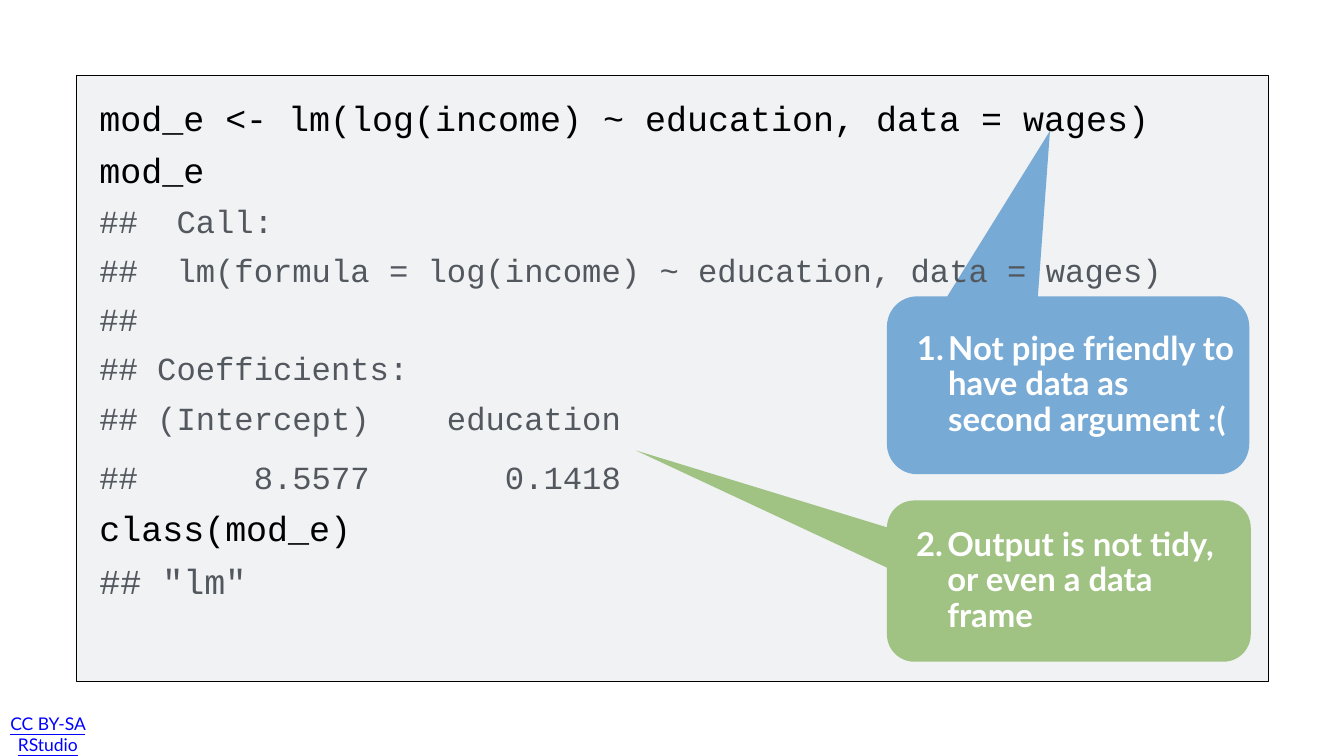
import pptx
import pptx.dml.color
import pptx.enum.shapes
import pptx.enum.text
import pptx.oxml
import pptx.oxml.ns
import pptx.util

Inches = pptx.util.Inches
Pt = pptx.util.Pt
MIDDLE = pptx.enum.text.MSO_ANCHOR.MIDDLE
SHAPES = pptx.enum.shapes.MSO_SHAPE

INPUT = {"size": Pt(50), "name": "Courier New", "color": "000000"}
OUTPUT = {"size": Pt(46), "name": "Courier New", "color": "53585F"}
RESULT = {**OUTPUT, "size": Pt(50)}
CALLOUT = {"size": Pt(47), "name": "Lato", "bold": True, "color": "FFFFFF"}
LICENSE = {"size": Pt(25), "name": "Lato", "underline": True, "color": "0000FF"}

# Text, format, space before in points
CODE = [
    ("mod_e <- lm(log(income) ~ education, data = wages)", INPUT, 0),
    ("mod_e", INPUT, 15),
    ("##  Call:", OUTPUT, 15),
    ("##  lm(formula = log(income) ~ education, data = wages)", OUTPUT, 15),
    ("##", OUTPUT, 15),
    ("## Coefficients:", OUTPUT, 15),
    ("## (Intercept)    education", OUTPUT, 15),
    ("##      8.5577       0.1418", OUTPUT, 30),
    ("class(mod_e)", INPUT, 15),
    ('## "lm"', RESULT, 15),
]


def rgb(color):
    return pptx.dml.color.RGBColor.from_string(color)


def add_run(p, text, style):
    r = p.add_run()
    r.text = text
    for key, value in style.items():
        if key == "color":
            r.font.color.rgb = rgb(value)
        else:
            setattr(r.font, key, value)


def set_frame(tf, inset, **settings):
    tf.word_wrap = True
    for side in ("left", "top", "right", "bottom"):
        setattr(tf, f"margin_{side}", Inches(inset))
    for key, value in settings.items():
        setattr(tf, key, value)


def add_filled(s, kind, box, fill):
    sp = s.shapes.add_shape(kind, *map(Inches, box))
    sp.shadow.inherit = False
    sp.fill.solid()
    sp.fill.fore_color.rgb = rgb(fill)
    sp.line.fill.background()
    return sp


def add_panel(s, box):
    sp = add_filled(s, SHAPES.RECTANGLE, box, "F0F2F4")
    sp.line.color.rgb = rgb("000000")
    sp.line.width = Pt(1)


def add_code(s, box):
    tf = s.shapes.add_textbox(*map(Inches, box)).text_frame
    set_frame(tf, 0.06)
    for i, (text, style, space) in enumerate(CODE):
        p = tf.add_paragraph() if i else tf.paragraphs[0]
        p.space_before = Pt(space)
        add_run(p, text, style)


def add_callout(s, box, fill, pointer, number, text):
    """Add a numbered note; pointer is the tip's offset from the centre."""
    sp = add_filled(s, SHAPES.ROUNDED_RECTANGULAR_CALLOUT, box, fill)
    for i, value in enumerate((*pointer, 0.17)):
        sp.adjustments[i] = value
    set_frame(sp.text_frame, 0.08, vertical_anchor=MIDDLE)
    p = sp.text_frame.paragraphs[0]
    p.alignment = pptx.enum.text.PP_ALIGN.LEFT
    p.line_spacing = 0.9
    pPr = p._p.get_or_add_pPr()
    pPr.set("marL", str(Inches(0.96)))
    pPr.set("indent", str(Inches(-0.62)))
    pPr.append(pptx.oxml.parse_xml(
        f'<a:buAutoNum {pptx.oxml.ns.nsdecls("a")} '
        f'type="arabicPeriod" startAt="{number}"/>'))
    add_run(p, text, CALLOUT)


def add_license(s, box):
    tf = s.shapes.add_textbox(*map(Inches, box)).text_frame
    # The wide right margin wraps the line after the licence name
    set_frame(tf, 0.08, vertical_anchor=MIDDLE, margin_right=Inches(1.08))
    p = tf.paragraphs[0]
    p.alignment = pptx.enum.text.PP_ALIGN.CENTER
    add_run(p, "CC BY-SA RStudio", LICENSE)


def main():
    prs = pptx.Presentation()
    prs.slide_width, prs.slide_height = Inches(26.67), Inches(15)
    s = prs.slides.add_slide(prs.slide_layouts.get_by_name("Blank"))
    add_license(s, (0.12, 14.26, 2.66, 0.6))
    add_panel(s, (1.51, 1.49, 23.65, 12.02))
    add_callout(s, (17.6, 5.88, 7.19, 3.53), "78AAD6", (-0.05, -1.43), 1,
                "Not pipe friendly to have data as second argument :(")
    add_code(s, (1.91, 1.85, 23.25, 11.41))
    add_callout(s, (17.6, 9.93, 7.22, 3.2), "A0C283", (-1.19, -0.81), 2,
                "Output is not tidy, or even a data frame")
    prs.save("out.pptx")


if __name__ == "__main__":
    main()
